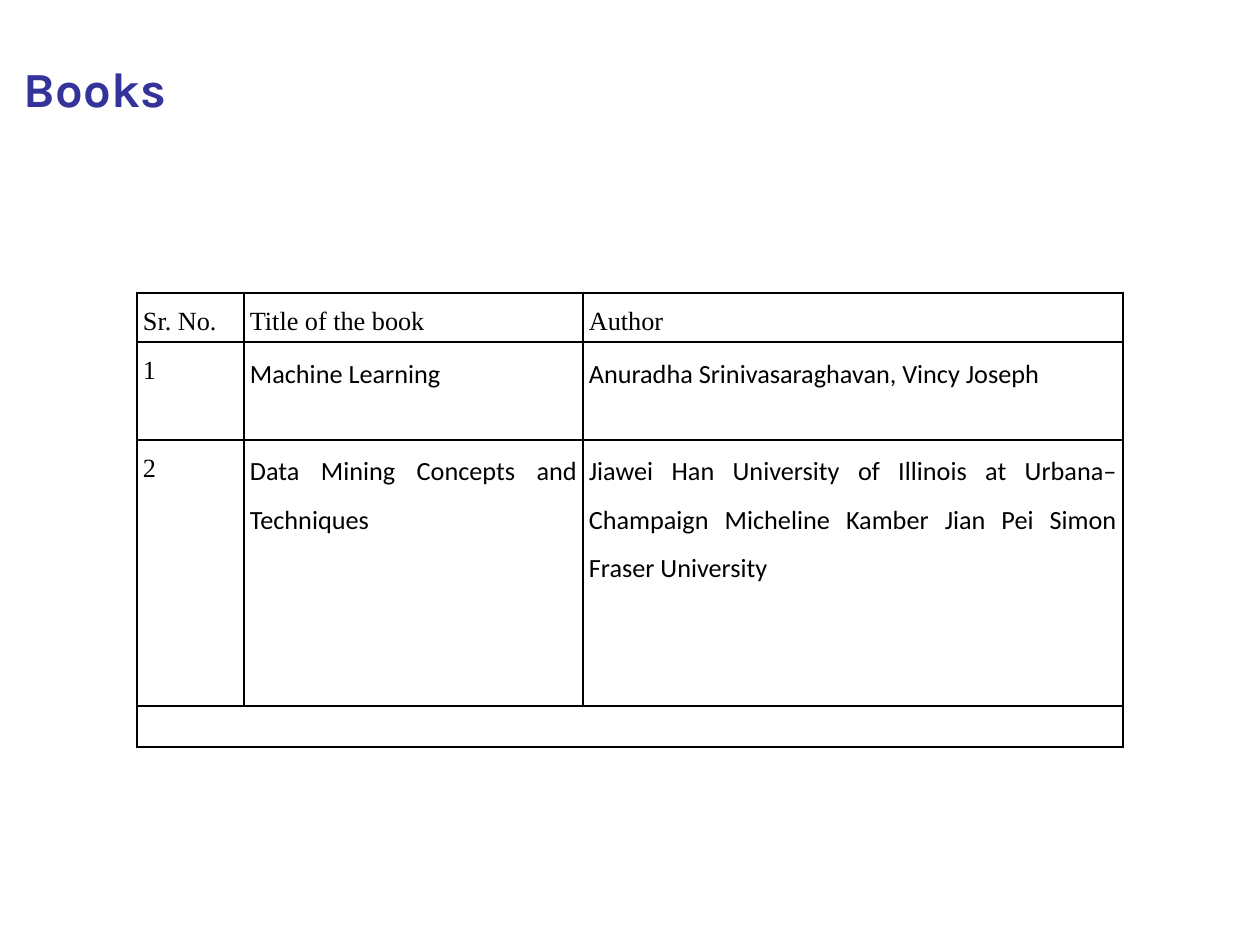
from lxml import etree
from pptx import Presentation
from pptx.dml.color import RGBColor
from pptx.enum.text import PP_ALIGN
from pptx.oxml.ns import qn
from pptx.util import Pt

PX = 914400 // 126
JUSTIFY = PP_ALIGN.JUSTIFY
COLORS = {"title": "333399", "ink": "000000"}
SERIF, SANS = "Times New Roman", "Calibri"
COLS = [107, 339, 540]
ROWS = [49, 98, 266, 41]
BOOKS = [
    ["Sr. No.", "Title of the book", "Author"],
    ["1", "Machine Learning", "Anuradha Srinivasaraghavan, Vincy Joseph"],
    ["2", "Data Mining Concepts and Techniques",
     "Jiawei Han University of Illinois at Urbana–Champaign "
     "Micheline Kamber Jian Pei Simon Fraser University"],
]


def style(para, face, size, color, bold=False):
    """Format every run of a paragraph."""
    for run in para.runs:
        font = run.font
        font.name, font.size, font.bold = face, Pt(size), bold
        font.color.rgb = RGBColor.from_string(COLORS[color])


def add_title(slide, text, left, top, width, height):
    """Add the heading in a text box without margins."""
    box = slide.shapes.add_textbox(left * PX, top * PX, width * PX, height * PX)
    frame = box.text_frame
    frame.word_wrap = True
    frame.margin_left = frame.margin_right = 0
    frame.margin_top = frame.margin_bottom = 0
    frame.text = text
    style(frame.paragraphs[0], "Karla", 28, "title", True)


def frame_cell(cell):
    """Give a cell thin borders, narrow margins and no fill."""
    cell.margin_left = cell.margin_right = 6 * PX
    cell.margin_top = cell.margin_bottom = 0
    props = cell._tc.get_or_add_tcPr()
    for side in ("lnL", "lnR", "lnT", "lnB"):
        line = etree.SubElement(props, qn("a:" + side), w=str(Pt(1)))
        fill = etree.SubElement(line, qn("a:solidFill"))
        etree.SubElement(fill, qn("a:srgbClr"), val=COLORS["ink"])
    cell.fill.background()


def fill_cell(cell, text, face):
    """Write justified text with wide line spacing."""
    cell.text_frame.text = text
    para = cell.text_frame.paragraphs[0]
    para.alignment, para.line_spacing = JUSTIFY, 1.5
    style(para, face, 15, "ink")


def add_books(slide, left, top):
    """Add the book table with a merged last row."""
    table = slide.shapes.add_table(
        len(ROWS), len(COLS), left * PX, top * PX,
        sum(COLS) * PX, sum(ROWS) * PX).table
    table.first_row = table.horz_banding = False
    for col, width in zip(table.columns, COLS):
        col.width = width * PX
    for row, height in zip(table.rows, ROWS):
        row.height = height * PX
    for cell in table.iter_cells():
        frame_cell(cell)
    for r, book in enumerate(BOOKS):
        for c, text in enumerate(book):
            fill_cell(table.cell(r, c), text, SANS if r and c else SERIF)
    last = len(ROWS) - 1
    table.cell(last, 0).merge(table.cell(last, len(COLS) - 1))


def main():
    """Build the slide and save it."""
    deck = Presentation()
    deck.slide_width, deck.slide_height = 1260 * PX, 945 * PX
    slide = deck.slides.add_slide(deck.slide_layouts[6])
    add_title(slide, "Books", 24, 59, 1213, 59)
    add_books(slide, 137, 293)
    deck.save("out.pptx")


if __name__ == "__main__":
    main()
